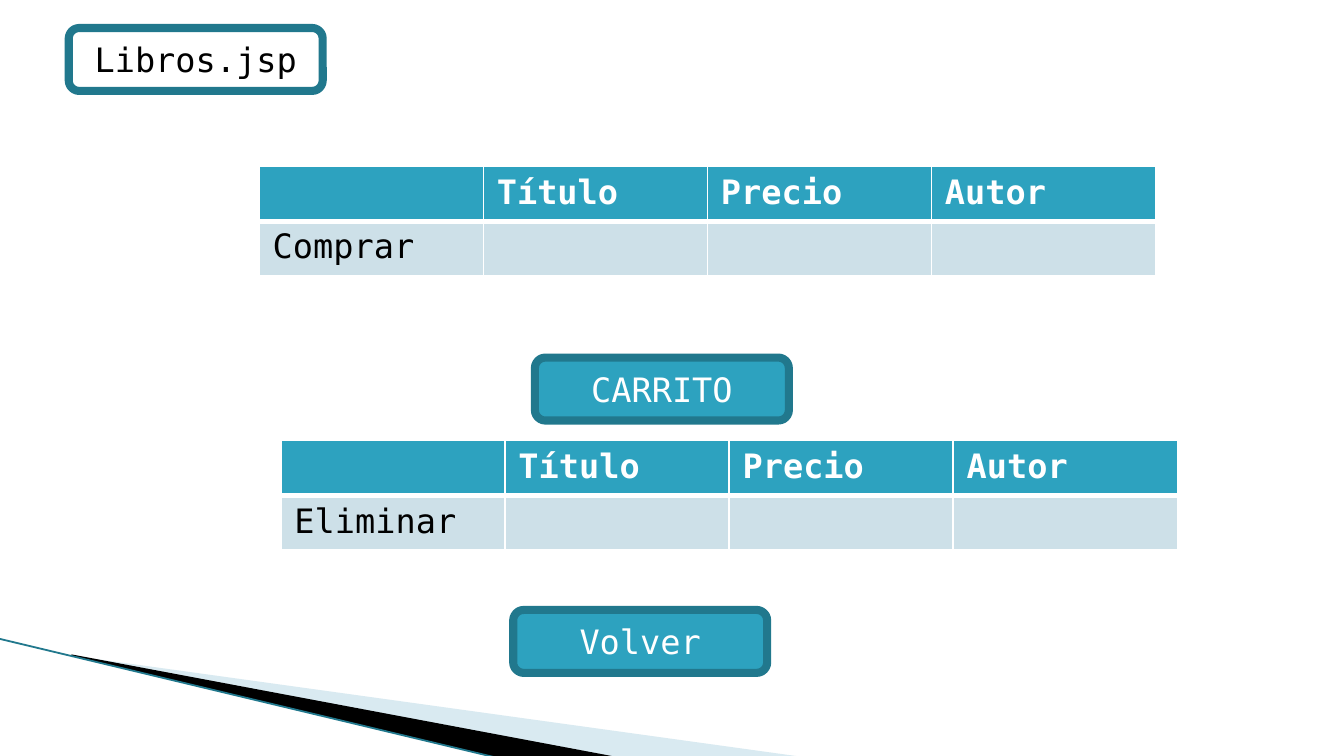
from lxml import etree
from pptx import Presentation
from pptx import util as u
from pptx.dml.color import RGBColor
from pptx.enum import shapes, text
from pptx.oxml import ns

TEAL = RGBColor(0x2D, 0xA2, 0xBF)
DARK_TEAL = RGBColor(0x21, 0x78, 0x8D)
PALE_TEAL = RGBColor(0xCD, 0xE0, 0xE8)
WEDGE_BLUE = RGBColor(0xA0, 0xCB, 0xDC)
WHITE = RGBColor(0xFF, 0xFF, 0xFF)
BLACK = RGBColor(0, 0, 0)


class Deck:
    """Style and current slide."""
    font = {"name": "DejaVu Sans Mono", "size": u.Pt(18)}

    def __init__(self, width, height):
        self.prs = Presentation()
        self.prs.slide_width, self.prs.slide_height = u.Cm(width), u.Cm(height)
        self.s = self.prs.slides.add_slide(self.prs.slide_layouts[6])

    def add_text(self, tf, words, color, bold=False, align=None):
        p = tf.paragraphs[0]
        p.alignment = align
        r = p.add_run()
        r.text = words
        for key, value in {**self.font, "bold": bold}.items():
            setattr(r.font, key, value)
        r.font.color.rgb = color

    def wedge(self, points, color, alpha=None):
        pts = [(u.Cm(x), u.Cm(y)) for x, y in points]
        fb = self.s.shapes.build_freeform(*pts[0], scale=1.0)
        fb.add_line_segments(pts[1:], close=True)
        sp = fb.convert_to_shape()
        sp.shadow.inherit = False
        sp.line.fill.background()
        sp.fill.solid()
        sp.fill.fore_color.rgb = color
        if alpha is not None:
            clr = sp._element.spPr.find(".//" + ns.qn("a:srgbClr"))
            etree.SubElement(clr, ns.qn("a:alpha"), val=str(alpha * 1000))

    def line(self, x1, y1, x2, y2, color, width):
        cx = self.s.shapes.add_connector(
            shapes.MSO_CONNECTOR.STRAIGHT, u.Cm(x1), u.Cm(y1), u.Cm(x2), u.Cm(y2))
        cx.line.color.rgb, cx.line.width = color, u.Pt(width)
        etree.SubElement(cx._element.spPr, ns.qn("a:effectLst"))

    def button(self, x, y, words, color=WHITE, fill=TEAL):
        sp = self.s.shapes.add_shape(shapes.MSO_SHAPE.ROUNDED_RECTANGLE,
                                     u.Cm(x), u.Cm(y), u.Cm(4.8), u.Cm(1.19))
        sp.shadow.inherit = False
        if fill is None:
            sp.fill.background()
        else:
            sp.fill.solid()
            sp.fill.fore_color.rgb = fill
        sp.line.color.rgb, sp.line.width = DARK_TEAL, u.Pt(4.33)
        sp.text_frame.vertical_anchor = text.MSO_ANCHOR.MIDDLE
        self.add_text(sp.text_frame, words, color, align=text.PP_ALIGN.CENTER)

    def borders(self, cell, top, bottom):
        tc_pr = cell._tc.get_or_add_tcPr()
        widths = {"lnL": 1, "lnR": 1, "lnT": top, "lnB": bottom}
        for i, (side, width) in enumerate(widths.items()):
            ln = etree.Element(ns.qn("a:" + side), w=str(u.Pt(width)))
            fill = etree.SubElement(ln, ns.qn("a:solidFill"))
            etree.SubElement(fill, ns.qn("a:srgbClr"), val=str(WHITE))
            tc_pr.insert(i, ln)

    def table(self, x, y, rows):
        tb = self.s.shapes.add_table(len(rows), len(rows[0]), u.Cm(x), u.Cm(y),
                                     u.Cm(16.94), u.Cm(2.06)).table
        for i, row in enumerate(rows):
            head = i == 0
            for j, words in enumerate(row):
                cell = tb.cell(i, j)
                cell.fill.solid()
                cell.fill.fore_color.rgb = TEAL if head else PALE_TEAL
                # Thick rule between header and body
                self.borders(cell, *((1, 3) if head else (3, 1)))
                if words:
                    self.add_text(cell.text_frame, words, WHITE if head else BLACK, head)


deck = Deck(25.4, 14.29)

# Corner decoration
deck.wedge([(1.4, 12.4), (15.11, 14.3), (11.58, 14.3)], WEDGE_BLUE, 40)
deck.wedge([(1.35, 12.37), (11.61, 14.3), (9.45, 14.33), (1.37, 12.4)], BLACK)
deck.line(-0.03, 12.07, 9.42, 14.33, DARK_TEAL, 0.95)

# Cart and book list tables
header = ["", "Título", "Precio", "Autor"]
for x, y, action in [(5.31, 8.33, "Eliminar"), (4.9, 3.15, "Comprar")]:
    deck.table(x, y, [header, [action, "", "", ""]])

# Page name and buttons
deck.button(10.11, 6.76, "CARRITO")
deck.button(1.3, 0.53, "Libros.jsp", color=BLACK, fill=None)
deck.button(9.7, 11.53, "Volver")

deck.prs.save("out.pptx")
